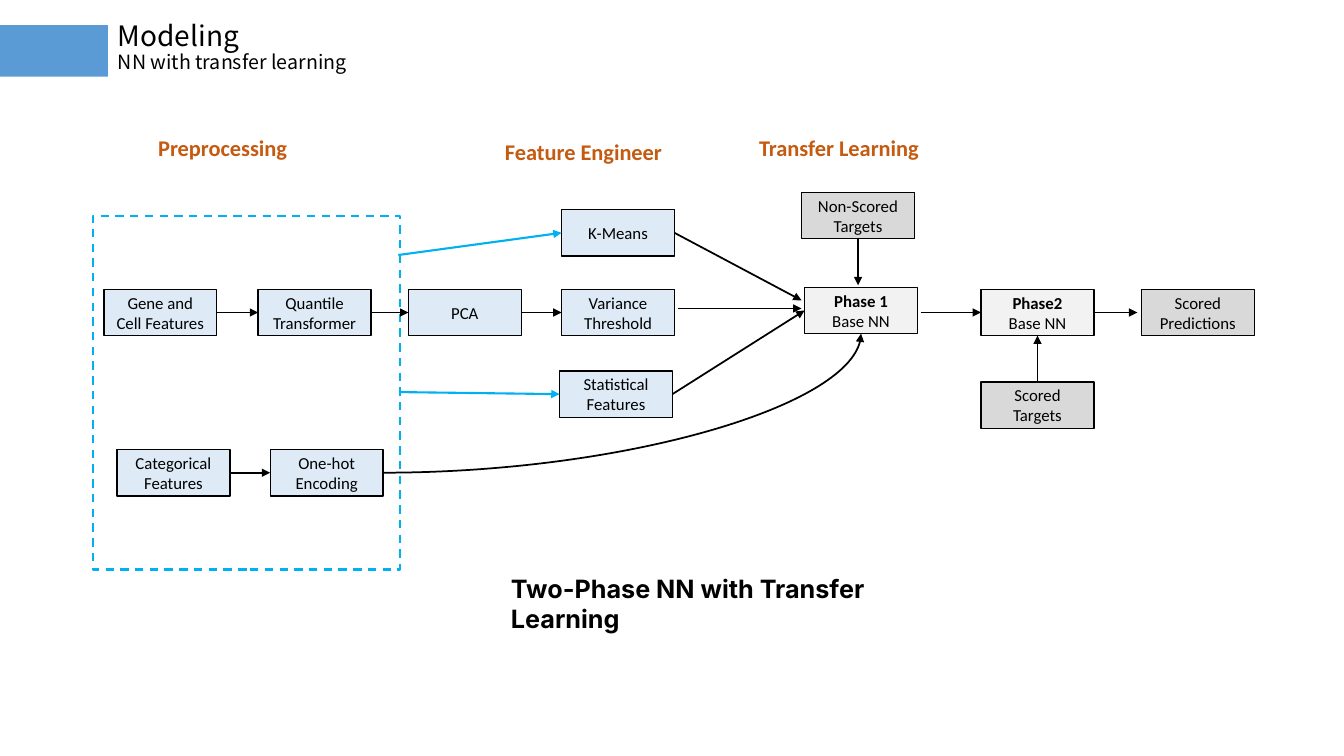
import pptx
import pptx.util
import pptx.dml.color
import pptx.enum.dml
import pptx.enum.shapes
import pptx.enum.text
import pptx.oxml
import pptx.oxml.ns

hues = {"bar": "5B9BD5", "cyan": "00B0F0", "blue": "DEEBF7", "pale": "F2F2F2",
        "gray": "D9D9D9", "head": "C55A11", "ink": "000000"}
cell = pptx.util.Inches(0.1)
rect = pptx.enum.shapes.MSO_SHAPE.RECTANGLE
kinds = pptx.enum.shapes.MSO_CONNECTOR
left, mid = pptx.enum.text.PP_ALIGN.LEFT, pptx.enum.text.PP_ALIGN.CENTER

deck = pptx.Presentation()
deck.slide_width = pptx.util.Inches(13.33)
deck.slide_height = pptx.util.Inches(7.5)
slide = deck.slides.add_slide(deck.slide_layouts[6])
rgb = {name: pptx.dml.color.RGBColor.from_string(hue) for name, hue in hues.items()}


def add_box(spot, fill=None, edge=None, width=1):
    box = slide.shapes.add_shape(rect, *(round(n * cell) for n in spot))
    box.shadow.inherit = False
    if fill:
        box.fill.solid()
        box.fill.fore_color.rgb = rgb[fill]
    else:
        box.fill.background()
    if edge:
        box.line.color.rgb = rgb[edge]
        box.line.width = pptx.util.Pt(width)
    else:
        box.line.fill.background()
    return box


def set_text(shape, text, sizes, face, hue="ink", bold=0, align=left):
    frame = shape.text_frame
    frame.word_wrap = True
    frame.text = text
    for row, para in enumerate(frame.paragraphs):
        para.alignment = align
        for run in para.runs:
            run.font.size = pptx.util.Pt(sizes[min(row, len(sizes) - 1)])
            run.font.name = face
            run.font.bold = row < bold
            run.font.color.rgb = rgb[hue]


add_box((0, 2.5, 10.7, 5.1), "bar")
frame = add_box((9.2, 21.4, 30.5, 35.1), None, "cyan", 1.5)
frame.line.dash_style = pptx.enum.dml.MSO_LINE.DASH

labels = [
    ((10.7, 1.7, 43.9, 6.7), "Modeling\nNN with transfer learning", (20, 14),
     "Noto Sans CJK SC", "ink", 0),
    ((49.7, 56.4, 41, 4), "Two-Phase NN with Transfer Learning", (18,), "Inter", "ink", 1),
    ((14.7, 12.8, 19.5, 3.7), "Preprocessing", (16,), "Calibri", "head", 1),
    ((49.1, 13.2, 19.5, 3.7), "Feature Engineer", (16,), "Calibri", "head", 1),
    ((74.3, 12.8, 22.8, 3.7), "Transfer Learning", (16,), "Calibri", "head", 1),
]
for spot, text, sizes, face, hue, bold in labels:
    label = slide.shapes.add_textbox(*(round(n * cell) for n in spot))
    set_text(label, text, sizes, face, hue, bold)
    if len(sizes) > 1:
        for para in label.text_frame.paragraphs:
            para.line_spacing = 0.9

main = 28.7
nodes = [
    ("gene", 10.3, main, "blue", "Gene and Cell Features"),
    ("class", 11.6, 44.6, "blue", "Categorical Features"),
    ("quant", 25.6, main, "blue", "Quantile\nTransformer"),
    ("hot", 26.8, 44.6, "blue", "One-hot\nEncoding"),
    ("one", 79.8, 28.5, "pale", "Phase 1\nBase NN"),
    ("two", 97.3, main, "pale", "Phase2\nBase NN"),
    ("non", 79.5, 19.1, "gray", "Non-Scored\nTargets"),
    ("out", 113.2, main, "gray", "Scored\nPredictions"),
    ("goal", 97.3, 37.9, "gray", "Scored\nTargets"),
    ("pca", 40.5, main, "blue", "PCA"),
    ("means", 55.7, 20.8, "blue", "K-Means"),
    ("stats", 55.5, 36.8, "blue", "Statistical Features"),
    ("var", 55.7, main, "blue", "Variance\nThreshold"),
]
boxes = {}
for name, x, y, fill, text in nodes:
    box = boxes[name] = add_box((x, y, 11.2, 4.6), fill, "ink")
    box.text_frame.vertical_anchor = pptx.enum.text.MSO_ANCHOR.MIDDLE
    set_text(box, text, (12,), "Calibri", "ink", int(fill == "pale"), mid)

top, west, base, east = range(4)
links = [
    (("gene", east), ("quant", west), "ink"),
    (("quant", east), ("pca", west), "ink"),
    (("pca", east), ("var", west), "ink"),
    (("class", east), ("hot", west), "ink"),
    ((67.2, 30.6), (79.5, 30.6), "ink"),
    (("non", base), (85.1, 28.3), "ink"),
    ((91.3, 31), ("two", west), "ink"),
    (("two", east), (112.8, 31), "ink"),
    (("goal", top), ("two", base), "ink"),
    (("hot", east), ("one", base), "ink"),
    ((39.5, 25.3), ("means", west), "cyan"),
    ((39.7, 38.9), ("stats", west), "cyan"),
    (("stats", east), ("one", west), "ink"),
    (("means", east), (79.5, 29.8), "ink"),
]
for start, end, hue in links:
    bent = start[0] == "hot"
    ends = [(0, 0) if isinstance(p[0], str) else (round(p[0] * cell), round(p[1] * cell))
            for p in (start, end)]
    link = slide.shapes.add_connector(kinds.CURVE if bent else kinds.STRAIGHT, *ends[0], *ends[1])
    for point, join in ((start, link.begin_connect), (end, link.end_connect)):
        if isinstance(point[0], str):
            join(boxes[point[0]], point[1])
    link.line.color.rgb = rgb[hue]
    link.line.width = pptx.util.Pt(1.5 if hue == "cyan" else 1.25)
    props = link._element.spPr
    if bent:
        props.find(pptx.oxml.ns.qn("a:prstGeom")).set("prst", "curvedConnector2")
    tip = pptx.oxml.parse_xml("<a:tailEnd %s type='triangle'/>" % pptx.oxml.ns.nsdecls("a"))
    props.find(pptx.oxml.ns.qn("a:ln")).append(tip)
    props.append(pptx.oxml.parse_xml("<a:effectLst %s/>" % pptx.oxml.ns.nsdecls("a")))

deck.save("out.pptx")
